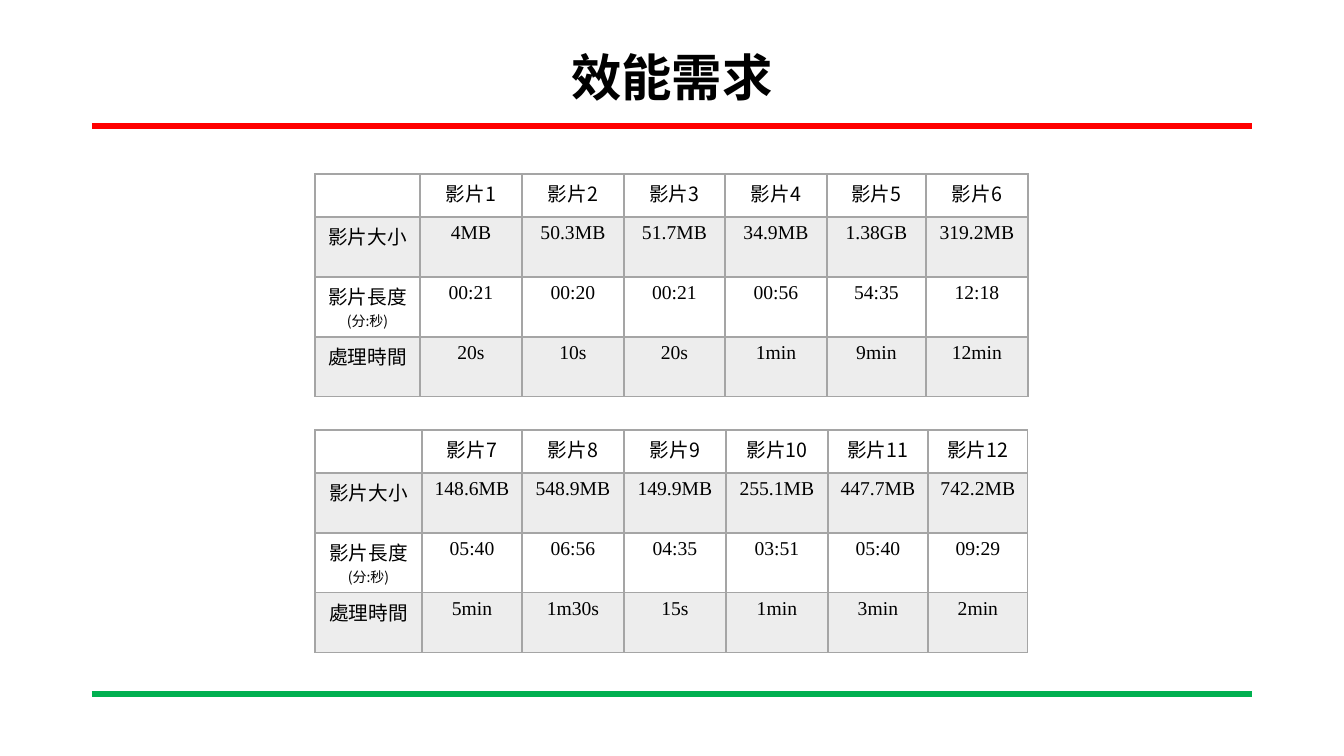
from lxml.etree import SubElement
from pptx import Presentation
from pptx.dml.color import RGBColor
from pptx.enum.shapes import MSO_CONNECTOR
from pptx.enum.text import MSO_ANCHOR, PP_ALIGN
from pptx.oxml.ns import qn
from pptx.util import Pt

SCALE = 914400 / 100.8
BLACK = RGBColor(0x00, 0x00, 0x00)
RED = RGBColor(0xFF, 0x00, 0x00)
GREEN = RGBColor(0x00, 0xB0, 0x50)
GRAY = RGBColor(0xA5, 0xA5, 0xA5)
CHINESE_FONT = "Noto Sans CJK SC"
LATIN_FONT = "Times New Roman"


def px(length):
    return round(length * SCALE)


def style_paragraph(para, size, latin, bold=False):
    para.alignment = PP_ALIGN.CENTER
    font = para.font
    font.size, font.name, font.bold = Pt(size), latin, bold
    font.color.rgb = BLACK
    east_asian = SubElement(para._p.pPr.find(qn("a:defRPr")), qn("a:ea"))
    east_asian.set("typeface", CHINESE_FONT)


deck = Presentation()
deck.slide_width, deck.slide_height = px(1344), px(756)
page = deck.slides.add_slide(deck.slide_layouts[6])

# Rules above and below the content
for y, color in ((126, RED), (694, GREEN)):
    rule = page.shapes.add_connector(
        MSO_CONNECTOR.STRAIGHT, px(92), px(y), px(1252), px(y))
    rule.line.color.rgb = color
    rule.line.width = Pt(4.5)
    SubElement(rule._element.spPr, qn("a:effectLst"))

# Title
title = page.shapes.add_textbox(px(92), px(40), px(1160), px(80)).text_frame
title.word_wrap = True
title.vertical_anchor = MSO_ANCHOR.MIDDLE
title.text = "效能需求"
title.paragraphs[0].line_spacing = 0.9
style_paragraph(title.paragraphs[0], 36, LATIN_FONT, bold=True)

# Tables: top, first video number, column widths, rows of values
row_labels = ["影片大小", "影片長度\n(分:秒)", "處理時間"]
row_heights = [43, 60, 60, 60]
video_tables = [
    (174, 1, [105, 102, 102, 101, 102, 99, 102], [
        ["4MB", "50.3MB", "51.7MB", "34.9MB", "1.38GB", "319.2MB"],
        ["00:21", "00:20", "00:21", "00:56", "54:35", "12:18"],
        ["20s", "10s", "20s", "1min", "9min", "12min"]]),
    (430, 7, [107, 100, 102, 102, 102, 100, 100], [
        ["148.6MB", "548.9MB", "149.9MB", "255.1MB", "447.7MB", "742.2MB"],
        ["05:40", "06:56", "04:35", "03:51", "05:40", "09:29"],
        ["5min", "1m30s", "15s", "1min", "3min", "2min"]]),
]

for top, first_video, widths, values in video_tables:
    header = [""] + [f"影片{first_video + i}" for i in range(6)]
    rows = [header] + [[label] + row for label, row in zip(row_labels, values)]
    table = page.shapes.add_table(
        len(rows), len(header), px(315), px(top),
        px(sum(widths)), px(sum(row_heights))).table
    table.first_row = table.horz_banding = False
    for column, width in zip(table.columns, widths):
        column.width = px(width)
    for row, height in zip(table.rows, row_heights):
        row.height = px(height)

    for r, row in enumerate(rows):
        for c, text in enumerate(row):
            cell = table.cell(r, c)
            cell.text = text
            latin = CHINESE_FONT if r == 0 or c == 0 else LATIN_FONT
            for i, para in enumerate(cell.text_frame.paragraphs):
                style_paragraph(para, 10 if i else 14, latin)

            # Borders, heavier under the header
            properties = cell._tc.get_or_add_tcPr()
            for side in ("L", "R", "T", "B"):
                heavy = (r, side) in ((0, "B"), (1, "T"))
                border = SubElement(properties, qn(f"a:ln{side}"), w=str(Pt(2 if heavy else 1)))
                fill = SubElement(border, qn("a:solidFill"))
                SubElement(fill, qn("a:srgbClr"), val=str(GRAY))

            # Pale gray on every other row
            if r % 2:
                cell.fill.solid()
                cell.fill.fore_color.rgb = GRAY
                shade = properties.find(qn("a:solidFill")).find(qn("a:srgbClr"))
                SubElement(shade, qn("a:alpha"), val="20000")
            else:
                cell.fill.background()

deck.save("out.pptx")
